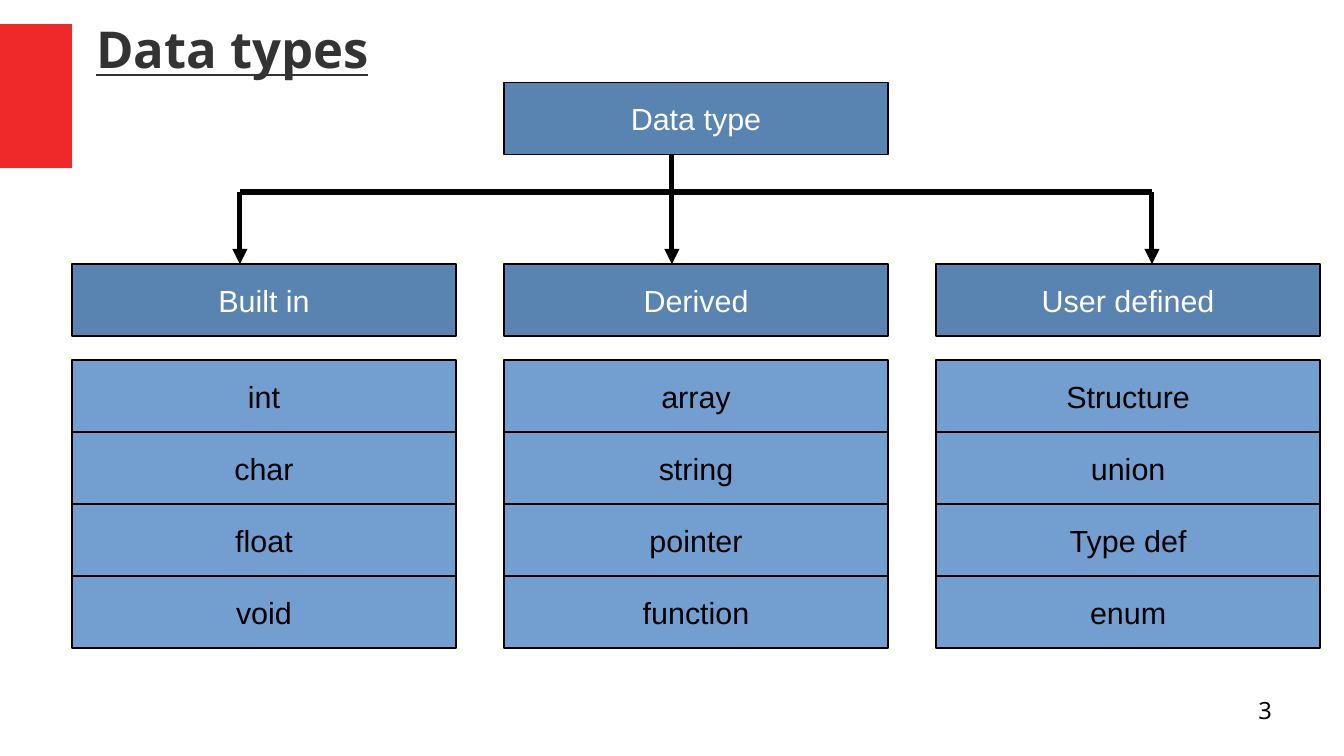
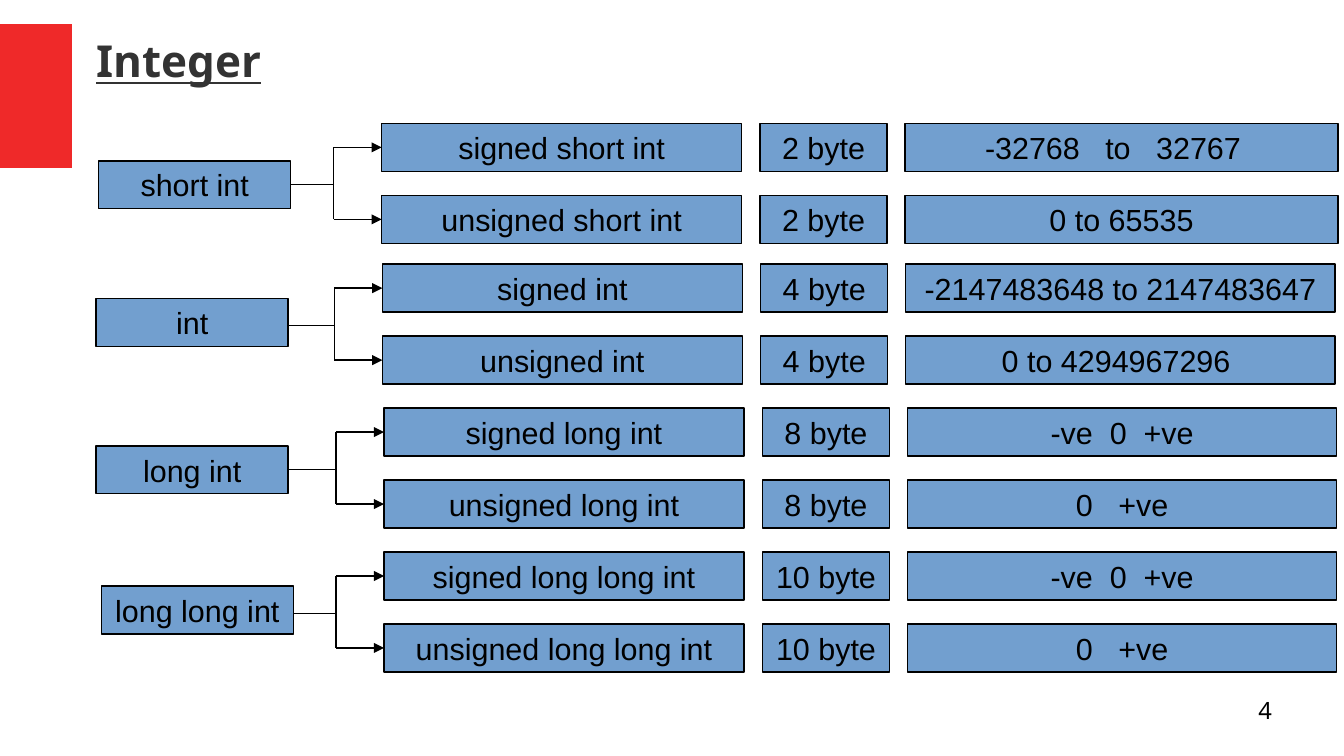
"""Build two slides on C data types: a type tree and the integer variants."""
from lxml import etree
from pptx import Presentation
from pptx.dml.color import RGBColor
from pptx.enum.shapes import MSO_CONNECTOR, MSO_SHAPE
from pptx.enum.text import MSO_ANCHOR, PP_ALIGN
from pptx.oxml.ns import qn
from pptx.util import Pt

RECTANGLE = MSO_SHAPE.RECTANGLE
STRAIGHT = MSO_CONNECTOR.STRAIGHT
TOP, MIDDLE = MSO_ANCHOR.TOP, MSO_ANCHOR.MIDDLE
LEFT, CENTER, RIGHT = PP_ALIGN.LEFT, PP_ALIGN.CENTER, PP_ALIGN.RIGHT

COLORS = {
    "band": "EF2929",
    "title": "333333",
    "header": "5983B0",
    "item": "729FCF",
    "black": "000000",
    "white": "FFFFFF",
}

TYPE_ROOT = "Data type"
TYPE_FAMILIES = [
    ("Built in", ["int", "char", "float", "void"]),
    ("Derived", ["array", "string", "pointer", "function"]),
    ("User defined", ["Structure", "union", "Type def", "enum"]),
]

INTEGER_FAMILIES = [
    {
        "name": "short int", "at": (58.3, 95), "rows_at": (225.4, 72.9), "range_width": 255.6,
        "rows": [
            ("signed short int", "2 byte", {"text": "-32768 to 32767", "gap": 10, "shift": 10}),
            ("unsigned short int", "2 byte", {"text": "0 to 65535"}),
        ],
    },
    {
        "name": "int", "at": (56.8, 176.2), "rows_at": (225.8, 156), "range_width": 253.5,
        "rows": [
            ("signed int", "4 byte", {"text": "-2147483648 to 2147483647"}),
            ("unsigned int", "4 byte", {"text": "0 to 4294967296", "shift": 5}),
        ],
    },
    {
        "name": "long int", "at": (56.8, 263.3), "rows_at": (226.8, 241), "range_width": 253.5,
        "rows": [
            ("signed long int", "8 byte", {"text": "-ve 0 +ve", "gap": 5}),
            ("unsigned long int", "8 byte", {"text": "0 +ve", "gap": 10}),
        ],
    },
    {
        "name": "long long int", "at": (59.8, 346.2), "rows_at": (226.8, 326), "range_width": 253.5,
        "rows": [
            ("signed long long int", "10 byte", {"text": "-ve 0 +ve", "gap": 5}),
            ("unsigned long long int", "10 byte", {"text": "0 +ve", "gap": 10}),
        ],
    },
]


def rgb(name):
    return RGBColor.from_string(COLORS[name])


def write(shape, text, color, size=18, font="Arial", align=CENTER, anchor=MIDDLE,
          margins=(7.2, 3.6, 7.2, 3.6), wrap=False, gap=0, **styles):
    """Fill a shape with one line, widening its spaces by gap points."""
    frame = shape.text_frame
    left, top, right, bottom = margins
    settings = {
        "word_wrap": wrap, "vertical_anchor": anchor,
        "margin_left": Pt(left), "margin_top": Pt(top),
        "margin_right": Pt(right), "margin_bottom": Pt(bottom),
    }
    for name, value in settings.items():
        setattr(frame, name, value)
    paragraph = frame.paragraphs[0]
    paragraph.alignment = align
    pieces = text.replace(" ", "\n \n").split("\n") if gap else [text]
    for piece in pieces:
        run = paragraph.add_run()
        run.text = piece
        for name, value in {"name": font, "size": Pt(size), **styles}.items():
            setattr(run.font, name, value)
        run.font.color.rgb = rgb(color)
        if piece == " ":
            run.font._element.set("spc", str(gap * 100))


def add_rectangle(slide, box, fill):
    shape = slide.shapes.add_shape(RECTANGLE, *map(Pt, box))
    shape.shadow.inherit = False
    shape.fill.solid()
    shape.fill.fore_color.rgb = rgb(fill)
    shape.line.fill.background()
    return shape


def add_box(slide, box, text, fill="item", color="black", shift=0, gap=0):
    shape = add_rectangle(slide, box, fill)
    shape.line.color.rgb = rgb("black")
    shape.line.width = Pt(0.85)
    write(shape, text, color, margins=(7.2, 3.6, 7.2 + shift, 3.6), gap=gap)


def add_line(slide, start, end, width=0.85, arrow=False):
    connector = slide.shapes.add_connector(STRAIGHT, *map(Pt, start + end))
    connector.line.color.rgb = rgb("black")
    connector.line.width = Pt(width)
    properties = connector.element.spPr
    if arrow:
        etree.SubElement(properties.find(qn("a:ln")), qn("a:tailEnd"), type="triangle")
    etree.SubElement(properties, qn("a:effectLst"))


def add_text(slide, box, text, color, **styles):
    shape = slide.shapes.add_textbox(*map(Pt, box))
    write(shape, text, color, font="Noto Sans", margins=(0, 0, 0, 0), wrap=True, **styles)


def add_base_slide(presentation, title, title_size, title_top, title_height, number):
    slide = presentation.slides.add_slide(presentation.slide_layouts[6])
    add_rectangle(slide, (0, 14.2, 42.5, 85), "band")
    add_text(slide, (56.7, title_top, 708.7, title_height), title, "title",
             size=title_size, align=LEFT, bold=True, underline=True)
    add_text(slide, (566.9, 411.1, 184.3, 31), str(number), "black",
             size=14, align=RIGHT, anchor=TOP)
    return slide


def build_type_tree(presentation):
    slide = add_base_slide(presentation, "Data types", 30, 8, 41, 3)
    left, pitch, width, height = 42.5, 255.15, 226.8, 42.5
    root_top, bar_y, header_top, items_top = 48.8, 113.4, 156, 212.6
    add_box(slide, (left + pitch, root_top, width, height), TYPE_ROOT, "header", "white")
    for column, (family, members) in enumerate(TYPE_FAMILIES):
        x = left + column * pitch
        add_box(slide, (x, header_top, width, height), family, "header", "white")
        for row, member in enumerate(members):
            add_box(slide, (x, items_top + row * height, width, height), member)
    branches = [141.7, 396.8, 680.3]
    add_line(slide, (branches[0], bar_y), (branches[-1], bar_y), 3)
    for x, y in zip(branches, (bar_y, root_top + height, bar_y)):
        add_line(slide, (x, y), (x, header_top), 3, arrow=True)


def build_integer_table(presentation):
    slide = add_base_slide(presentation, "Integer", 26, 14.2, 42.5, 4)
    height, pitch, label_width, fork_gap = 28.35, 42.5, 113.4, 28.4
    for family in INTEGER_FAMILIES:
        label_x, label_y = family["at"]
        x, y = family["rows_at"]
        fork_x, stem_y = x - fork_gap, y + 36.2
        centers = [y + row * pitch + height / 2 for row in range(len(family["rows"]))]
        add_box(slide, (label_x, label_y, label_width, height), family["name"])
        add_line(slide, (label_x + label_width, stem_y), (fork_x, stem_y))
        add_line(slide, (fork_x, centers[0]), (fork_x, centers[-1]))
        for row, (name, size, value_range) in enumerate(family["rows"]):
            top = y + row * pitch
            add_line(slide, (fork_x, centers[row]), (x, centers[row]), arrow=True)
            add_box(slide, (x, top, 212.6, height), name)
            add_box(slide, (x + 223.5, top, 75, height), size)
            add_box(slide, (x + 309.1, top, family["range_width"], height), **value_range)


def main():
    presentation = Presentation()
    presentation.slide_width, presentation.slide_height = Pt(793.7), Pt(446.45)
    build_type_tree(presentation)
    build_integer_table(presentation)
    presentation.save("out.pptx")


if __name__ == "__main__":
    main()
